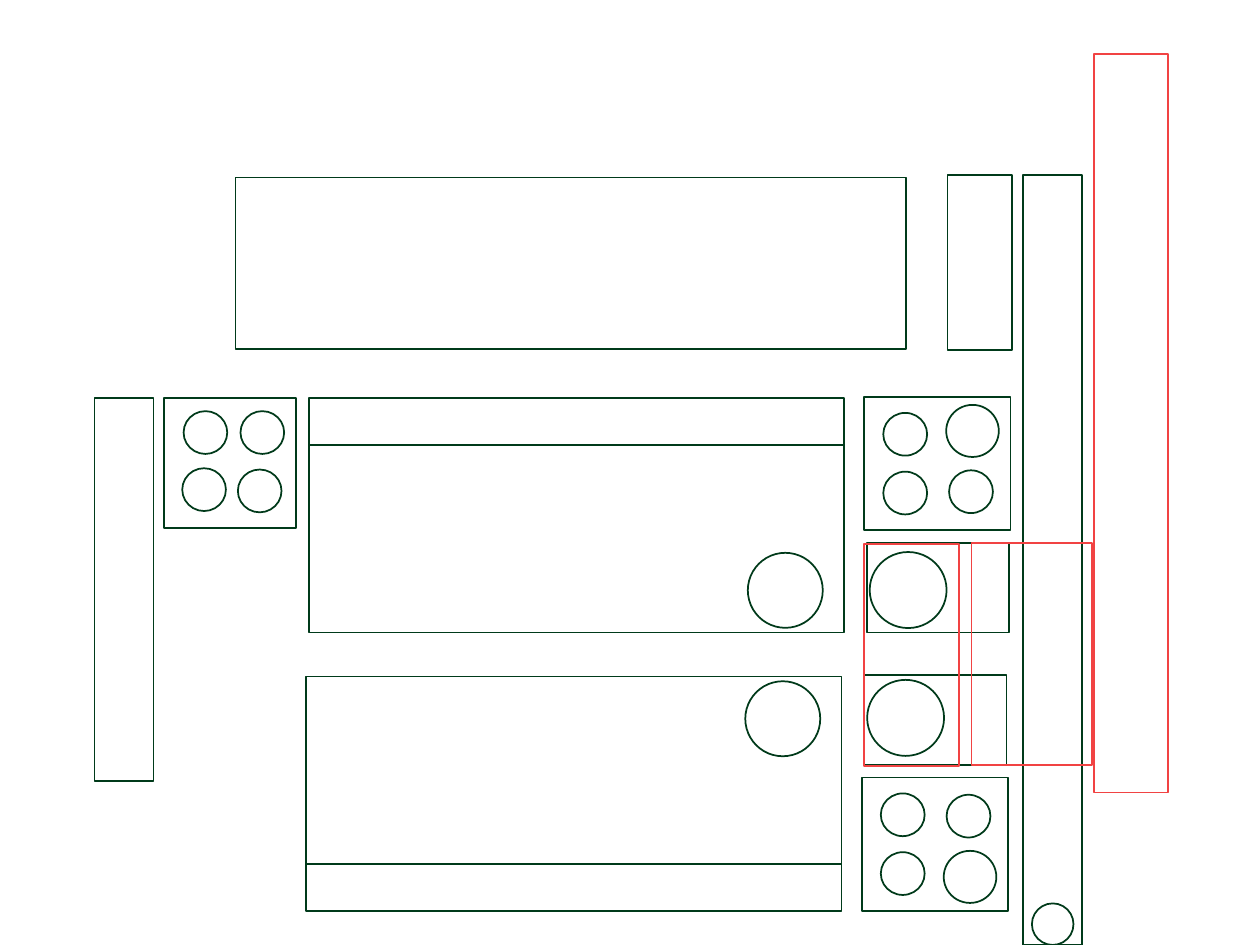
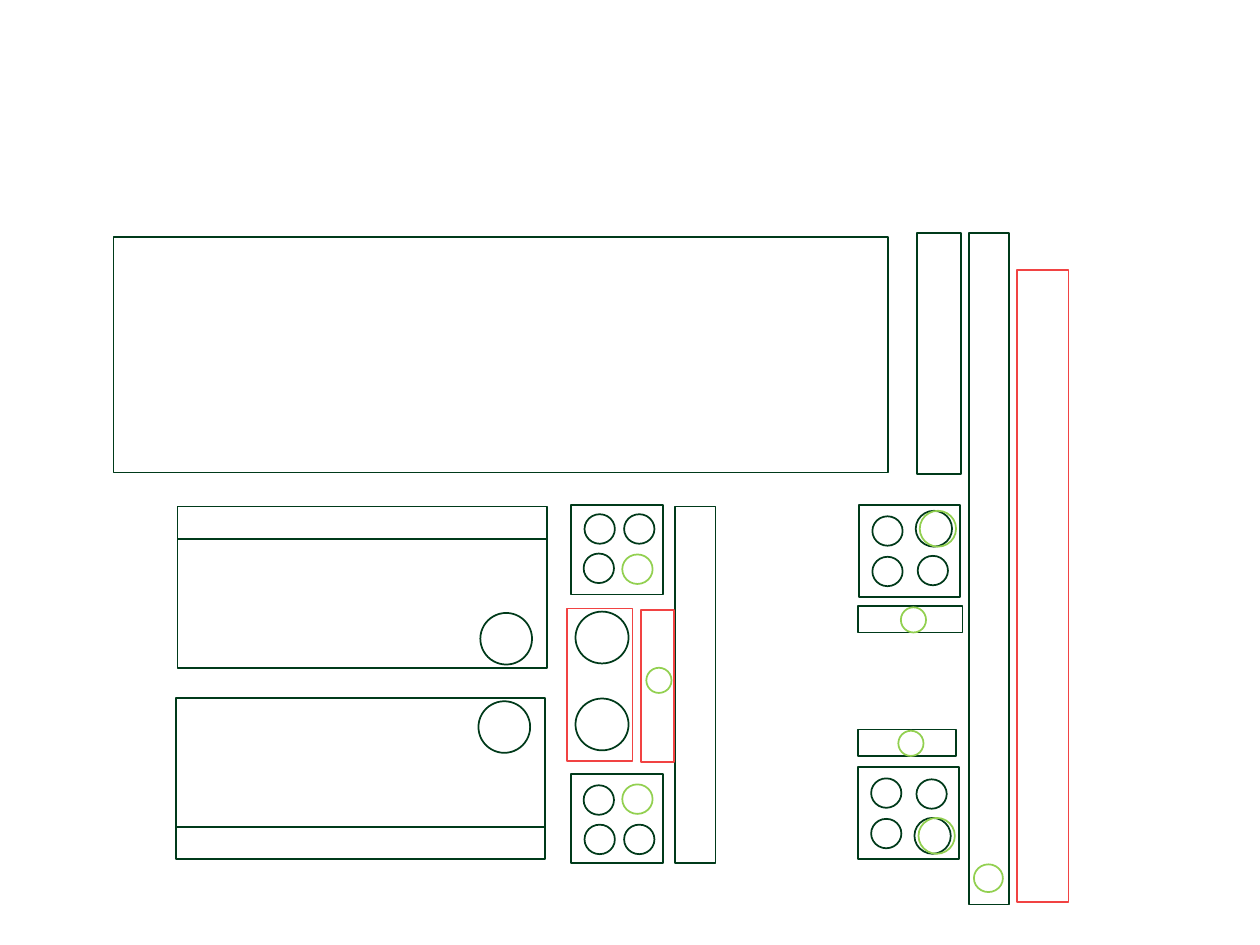
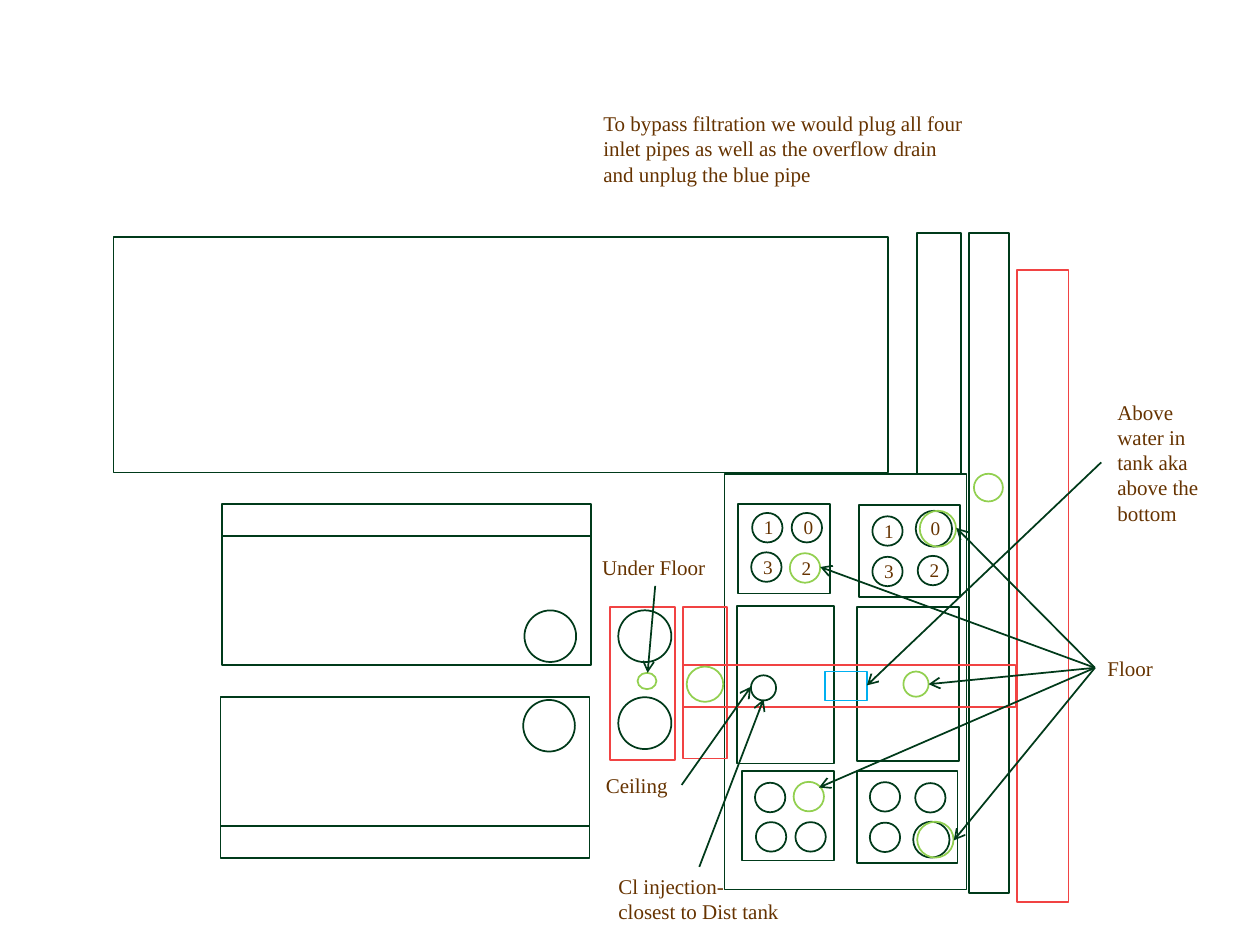
from collections import namedtuple

from lxml.etree import SubElement
from pptx import Presentation
from pptx.dml.color import RGBColor
from pptx.enum.shapes import MSO_CONNECTOR, MSO_SHAPE
from pptx.enum.text import MSO_AUTO_SIZE
from pptx.oxml.ns import qn
from pptx.util import Inches, Pt

GREEN = RGBColor(0x00, 0x3A, 0x1A)
RED = RGBColor(0xF1, 0x43, 0x43)
LIME = RGBColor(0x92, 0xD0, 0x50)
BLUE = RGBColor(0x00, 0xB0, 0xF0)
BROWN = RGBColor(0x66, 0x33, 0x00)
FONT = "Times New Roman"

deck = Presentation()
deck.slide_width, deck.slide_height = Inches(10), Inches(7.5)
COLUMN = deck.slide_width / 100
ROW = deck.slide_height / 75

Box = namedtuple("Box", "left top width height")
Port = namedtuple("Port", "share colour")

WIDE_PORTS = [
    Port((0.13, 0.12, 0.3, 0.32), GREEN),
    Port((0.56, 0.06, 0.36, 0.39), GREEN),
    Port((0.13, 0.56, 0.3, 0.32), GREEN),
    Port((0.58, 0.55, 0.3, 0.32), GREEN),
]
DRAINED_WIDE_PORTS = WIDE_PORTS + [Port((0.6, 0.06, 0.36, 0.39), LIME)]
EVEN_PORTS = [
    Port((0.15, 0.1, 0.33, 0.33), GREEN),
    Port((0.58, 0.1, 0.33, 0.33), GREEN),
    Port((0.14, 0.54, 0.33, 0.33), GREEN),
    Port((0.56, 0.55, 0.33, 0.33), GREEN),
]
DRAINED_EVEN_PORTS = EVEN_PORTS[:3] + [Port(EVEN_PORTS[3].share, LIME)]


def emu(box):
    return [round(box[0] * COLUMN), round(box[1] * ROW),
            round(box[2] * COLUMN), round(box[3] * ROW)]


def part(box, share, mirrored=False):
    left, top, width, height = share
    if mirrored:
        top = 1 - top - height
    return Box(box.left + left * box.width, box.top + top * box.height,
               width * box.width, height * box.height)


def outline(shapes, box, kind=MSO_SHAPE.RECTANGLE, colour=GREEN):
    shape = shapes.add_shape(kind, *emu(box))
    shape.shadow.inherit = False
    shape.fill.background()
    shape.line.color.rgb = colour
    shape.line.width = Pt(1)


def circle(shapes, box, colour=GREEN):
    outline(shapes, box, MSO_SHAPE.OVAL, colour)


def label(shapes, box, text, size=12, colour=BROWN):
    frame = shapes.add_textbox(*emu(box)).text_frame
    frame.word_wrap = True
    frame.auto_size = MSO_AUTO_SIZE.SHAPE_TO_FIT_TEXT
    span = frame.paragraphs[0].add_run()
    span.text = text
    span.font.size = Pt(size)
    span.font.name = FONT
    span.font.color.rgb = colour


def arrow(shapes, start, end):
    line = shapes.add_connector(MSO_CONNECTOR.STRAIGHT,
                                *emu(start + end))
    line.line.color.rgb = GREEN
    line.line.width = Pt(1)
    properties = line.line._get_or_add_ln()
    SubElement(properties, qn("a:tailEnd"), type="arrow")
    SubElement(line._element.spPr, qn("a:effectLst"))


def tank(page, box, mirrored=False):
    shapes = page.shapes.add_group_shape().shapes
    outline(shapes, part(box, (0, 0.2, 1, 0.8), mirrored))
    outline(shapes, part(box, (0, 0, 1, 0.2), mirrored))
    circle(shapes, part(box, (0.82, 0.66, 0.14, 0.32), mirrored))


def manifold(page, box, ports, mirrored=False, numbers=""):
    shapes = page.shapes.add_group_shape().shapes
    outline(shapes, box)
    for port in ports:
        circle(shapes, part(box, port.share, mirrored), port.colour)
    for port, number in zip(ports, numbers):
        hole = part(box, port.share, mirrored)
        width, height = 2.5, 2.9
        label(shapes, Box(hole.left + (hole.width - width) / 2,
                          hole.top + (hole.height - height) / 2,
                          width, height), number, size=11)


def pump_cabinet(page, box, mirrored=False):
    shapes = page.shapes.add_group_shape().shapes
    outline(shapes, box)
    circle(shapes, part(box, (0.02, 0.1, 0.54, 0.85), mirrored))


def pump_pair(page, box):
    outline(page.shapes, box, colour=RED)
    for top in (0.02, 0.59):
        circle(page.shapes, part(box, (0.13, top, 0.81, 0.34)))


def drained_tray(page, box, drain_left):
    outline(page.shapes, box)
    circle(page.shapes, Box(drain_left, box.top + 0.1, 2, 2), LIME)


def building(page, corridor_height, drain_top):
    corridor = Box(76.9, 18.5, 3.2, corridor_height)
    for box in (Box(9, 18.8, 61.5, 18.7), Box(72.8, 18.5, 3.5, 19.1), corridor):
        outline(page.shapes, box)
    outline(page.shapes, Box(80.7, 21.4, 4.1, 50.2), colour=RED)
    circle(page.shapes, Box(corridor.left + 0.4, drain_top, 2.3, 2.2), LIME)


def new_page():
    return deck.slides.add_slide(deck.slide_layouts[6])


def first_plan():
    page = new_page()
    for box in (Box(18.7, 14.1, 53.2, 13.6), Box(75.2, 13.9, 5.1, 13.9),
                Box(81.2, 13.9, 4.7, 61.1), Box(7.5, 31.6, 4.7, 30.4)):
        outline(page.shapes, box)
    circle(page.shapes, Box(81.9, 71.7, 3.3, 3.3))
    tank(page, Box(24.5, 31.6, 42.5, 18.6))
    tank(page, Box(24.3, 53.7, 42.5, 18.6), mirrored=True)
    manifold(page, Box(13, 31.6, 10.5, 10.3), EVEN_PORTS)
    manifold(page, Box(68.6, 31.5, 11.6, 10.6), WIDE_PORTS)
    manifold(page, Box(68.4, 61.7, 11.6, 10.6), WIDE_PORTS, mirrored=True)
    pump_cabinet(page, Box(68.8, 43.1, 11.3, 7.1))
    pump_cabinet(page, Box(68.6, 53.6, 11.3, 7.1), mirrored=True)
    for box in (Box(68.6, 43.2, 7.5, 17.6), Box(86.8, 4.3, 5.9, 58.6),
                Box(77.1, 43.1, 9.6, 17.6)):
        outline(page.shapes, box, colour=RED)


def second_plan():
    page = new_page()
    building(page, corridor_height=53.3, drain_top=68.6)
    tank(page, Box(14.1, 40.2, 29.3, 12.8))
    tank(page, Box(13.95, 55.4, 29.3, 12.8), mirrored=True)
    manifold(page, Box(45.3, 40.1, 7.3, 7.1), DRAINED_EVEN_PORTS)
    manifold(page, Box(45.3, 61.4, 7.3, 7.1), DRAINED_EVEN_PORTS, mirrored=True)
    manifold(page, Box(68.2, 40.1, 8, 7.3), DRAINED_WIDE_PORTS)
    manifold(page, Box(68.1, 60.9, 8, 7.3), DRAINED_WIDE_PORTS, mirrored=True)
    drained_tray(page, Box(68.1, 48.1, 8.3, 2.1), drain_left=71.5)
    drained_tray(page, Box(68.1, 57.9, 7.8, 2.1), drain_left=71.3)
    outline(page.shapes, Box(53.6, 40.2, 3.2, 28.3))
    pump_pair(page, Box(45, 48.3, 5.2, 12.1))
    outline(page.shapes, Box(50.9, 48.4, 2.6, 12.1), colour=RED)
    circle(page.shapes, Box(51.3, 53, 2, 2), LIME)


def notes_and_arrows(page):
    for box, text in (
        (Box(48.1, 68.8, 14.8, 5), "Cl injection- closest to Dist tank"),
        (Box(46.8, 43.5, 10.4, 3), "Under Floor"),
        (Box(47.1, 60.8, 7.1, 3), "Ceiling"),
        (Box(86.9, 51.5, 7.1, 3), "Floor"),
        (Box(87.7, 31.2, 9.6, 11.1), "Above water in tank aka above the bottom"),
        (Box(46.9, 8.3, 31.3, 7.1),
         "To bypass filtration we would plug all four inlet pipes as well as "
         "the overflow drain and unplug the blue pipe"),
    ):
        label(page.shapes, box, text)
    floor = (86.9, 53)
    for drain in ((65.1, 45), (65, 62.5), (75.9, 41.9), (75.7, 66.7), (73.7, 54.3)):
        arrow_between(page, floor, drain)
    arrow_between(page, (55.5, 68.8), (60.6, 55.5))
    arrow_between(page, (54.1, 62.3), (59.6, 54.5))
    arrow_between(page, (87.4, 36.7), (68.8, 54.4))
    arrow_between(page, (52, 46.5), (51.4, 53.4))


def arrow_between(page, start, end):
    arrow(page.shapes, start, end)


def third_plan():
    page = new_page()
    building(page, corridor_height=52.4, drain_top=37.6)
    tank(page, Box(17.6, 40, 29.3, 12.8))
    tank(page, Box(17.5, 55.3, 29.3, 12.8), mirrored=True)
    manifold(page, Box(58.6, 40, 7.3, 7.1), DRAINED_EVEN_PORTS, numbers="1032")
    manifold(page, Box(58.9, 61.2, 7.3, 7.1), DRAINED_EVEN_PORTS, mirrored=True)
    manifold(page, Box(68.2, 40.1, 8, 7.3), DRAINED_WIDE_PORTS, numbers="1032")
    manifold(page, Box(68, 61.2, 8, 7.3), DRAINED_WIDE_PORTS, mirrored=True)
    pump_pair(page, Box(48.4, 48.2, 5.2, 12.1))
    for box in (Box(57.5, 37.6, 19.2, 33), Box(58.5, 48.1, 7.7, 12.5),
                Box(68, 48.2, 8.1, 12.2)):
        outline(page.shapes, box)
    for box in (Box(54.2, 48.2, 3.5, 12), Box(54.2, 52.8, 26.4, 3.3)):
        outline(page.shapes, box, colour=RED)
    outline(page.shapes, Box(65.5, 53.3, 3.3, 2.3), colour=BLUE)
    circle(page.shapes, Box(59.6, 53.6, 2, 2))
    for box in (Box(71.7, 53.3, 2, 2), Box(50.6, 53.4, 1.5, 1.3),
                Box(54.5, 52.9, 2.9, 2.8)):
        circle(page.shapes, box, LIME)
    notes_and_arrows(page)


first_plan()
second_plan()
third_plan()
deck.save("out.pptx")
